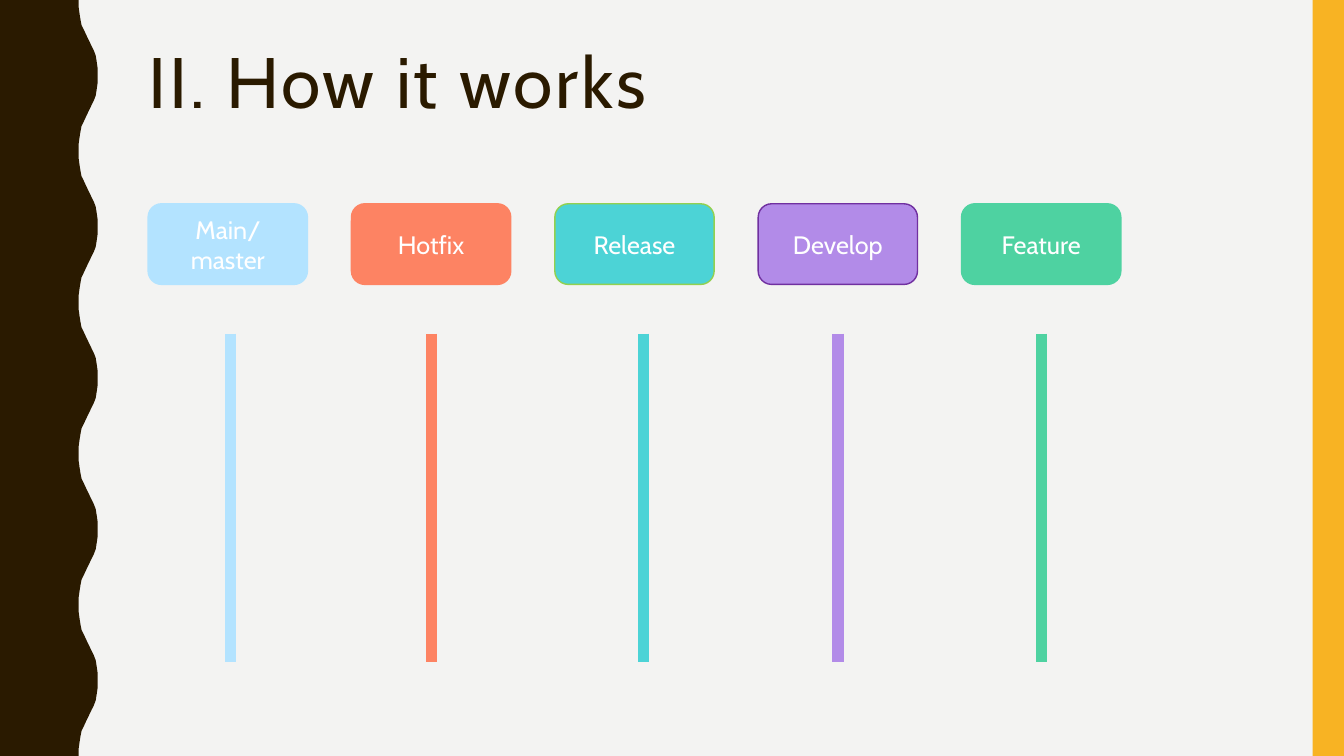
from pptx import Presentation
from pptx.dml.color import RGBColor
from pptx.enum.shapes import MSO_CONNECTOR as Connector, MSO_SHAPE as Shape
from pptx.enum.text import MSO_ANCHOR as Anchor, PP_ALIGN as Align
from pptx.oxml.xmlchemy import OxmlElement
from pptx.util import Pt

PAPER = RGBColor(0xF3, 0xF3, 0xF2)
BROWN = RGBColor(0x2A, 0x1A, 0x00)
AMBER = RGBColor(0xF8, 0xB3, 0x23)
WHITE = RGBColor(0xFF, 0xFF, 0xFF)
SKY = RGBColor(0xB3, 0xE3, 0xFF)
CORAL = RGBColor(0xFD, 0x83, 0x63)
TEAL = RGBColor(0x4C, 0xD3, 0xD6)
LIME = RGBColor(0x92, 0xD0, 0x50)
LILAC = RGBColor(0xB2, 0x8B, 0xE8)
PURPLE = RGBColor(0x70, 0x30, 0xA0)
GREEN = RGBColor(0x4E, 0xD2, 0xA1)

WIDTH, HEIGHT = 960, 540
WAVE_PERIOD = 108
HALF_WAVE = [
    (56.2, 0), (56.2, 5), (56.9, 10), (57.6, 14.4), (58.3, 18),
    (59.8, 21), (61.2, 24), (62.6, 27), (64.1, 30), (65.5, 33),
    (67, 36), (68.4, 39.6), (69.1, 44), (69.8, 49), (69.8, 54),
]
BOX_LEFT, BOX_TOP, BOX_WIDTH, BOX_HEIGHT = 105.8, 145.6, 113.8, 57.6
BOX_PITCH = 145.25
LANE_TOP, LANE_BOTTOM = 238.3, 473
BRANCHES = [
    ("Main/master", SKY, SKY, 164.9),
    ("Hotfix", CORAL, CORAL, 308.2),
    ("Release", TEAL, LIME, 459.4),
    ("Develop", LILAC, PURPLE, 598.6),
    ("Feature", GREEN, GREEN, 743.8),
]


class SlideBuilder:
    font = "Cabin"

    def __init__(self, page):
        self.page = page
        page.background.fill.solid()
        page.background.fill.fore_color.rgb = PAPER

    def paint(self, shape, fill, outline=None):
        shape.shadow.inherit = False
        shape.fill.solid()
        shape.fill.fore_color.rgb = fill
        if outline is None:
            shape.line.fill.background()
        else:
            shape.line.color.rgb = outline
            shape.line.width = Pt(1)

    def set_text(self, frame, text, size, color, align):
        frame.text = text
        para = frame.paragraphs[0]
        para.alignment = align
        para.font.name = self.font
        para.font.size = Pt(size)
        para.font.color.rgb = color
        return para

    def wave(self, fill):
        crest = HALF_WAVE + [(x, WAVE_PERIOD - y) for x, y in HALF_WAVE[-2::-1]]
        edge = [
            (x, top + y)
            for top in range(0, HEIGHT, WAVE_PERIOD)
            for x, y in crest
        ]
        outline = [(Pt(x), Pt(y)) for x, y in edge + [(0, HEIGHT)]]
        builder = self.page.shapes.build_freeform(0, 0)
        builder.add_line_segments(outline, close=True)
        self.paint(builder.convert_to_shape(), fill)

    def shape(self, kind, left, top, width, height, fill, outline=None):
        box = self.page.shapes.add_shape(
            kind, Pt(left), Pt(top), Pt(width), Pt(height)
        )
        self.paint(box, fill, outline)
        return box

    def label(self, text, left, fill, outline):
        box = self.shape(
            Shape.ROUNDED_RECTANGLE, left, BOX_TOP, BOX_WIDTH, BOX_HEIGHT,
            fill, outline,
        )
        box.text_frame.word_wrap = True
        box.text_frame.vertical_anchor = Anchor.MIDDLE
        self.set_text(box.text_frame, text, 18, WHITE, Align.CENTER)

    def lane(self, x, color):
        line = self.page.shapes.add_connector(
            Connector.STRAIGHT, Pt(x), Pt(LANE_TOP), Pt(x), Pt(LANE_BOTTOM)
        )
        line.line.color.rgb = color
        line.line.width = Pt(8)
        line._element.spPr.append(OxmlElement("a:effectLst"))

    def title(self, text):
        box = self.page.shapes.title
        box.left, box.top = Pt(98.6), Pt(30.2)
        box.width, box.height = Pt(801.4), Pt(64.8)
        box.text_frame.vertical_anchor = Anchor.TOP
        para = self.set_text(box.text_frame, text, 51, BROWN, Align.LEFT)
        para.line_spacing = 0.9
        para.runs[0]._r.get_or_add_rPr().set("spc", "200")


def main():
    deck = Presentation()
    deck.slide_width, deck.slide_height = Pt(WIDTH), Pt(HEIGHT)
    slide = SlideBuilder(deck.slides.add_slide(deck.slide_layouts[5]))

    slide.wave(BROWN)
    slide.shape(Shape.RECTANGLE, 937.6, 0, 22.4, HEIGHT, AMBER)
    slide.title("II. How it works")
    for index, (name, fill, outline, lane_x) in enumerate(BRANCHES):
        slide.label(name, BOX_LEFT + index * BOX_PITCH, fill, outline)
        slide.lane(lane_x, fill)

    deck.save("out.pptx")


if __name__ == "__main__":
    main()
